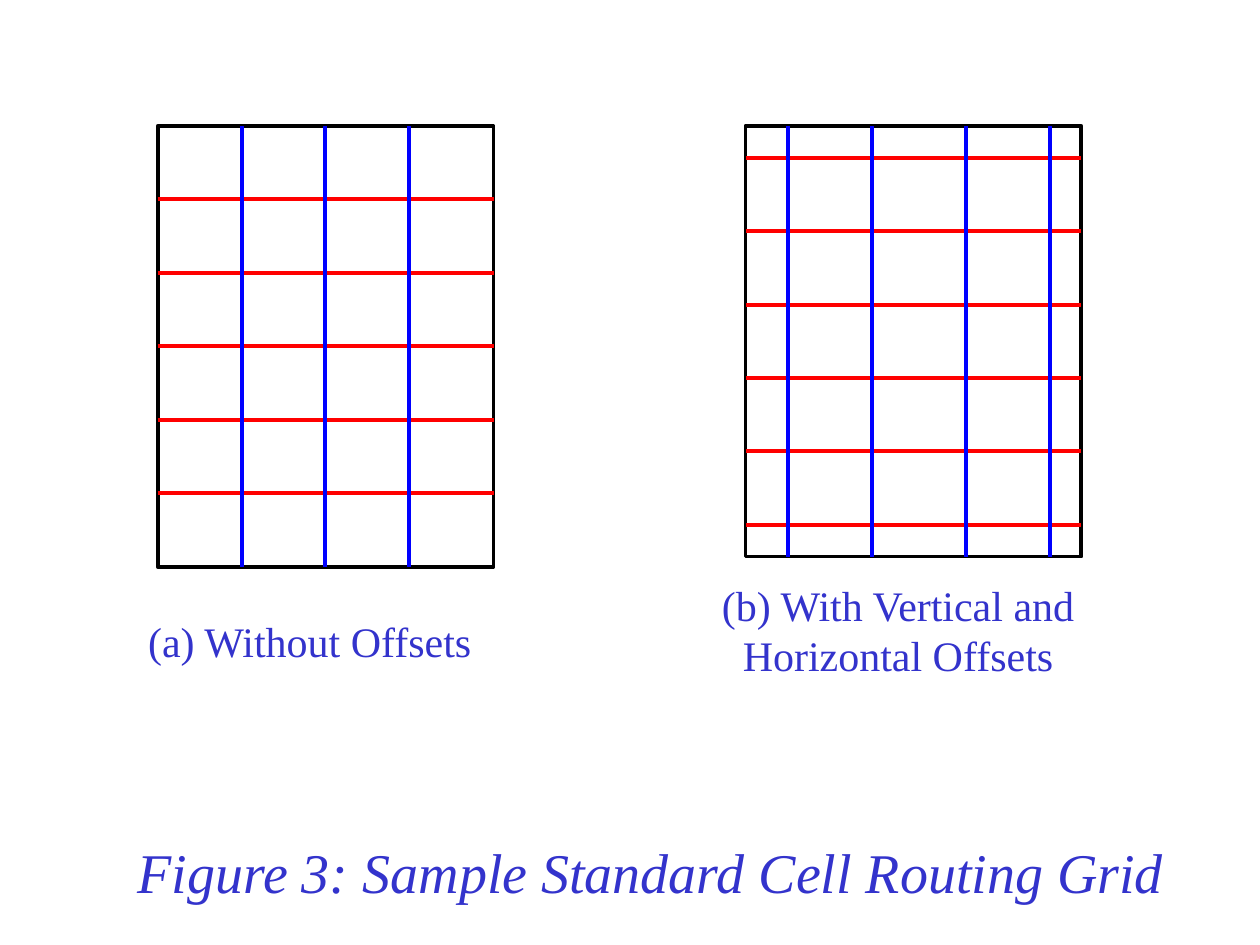
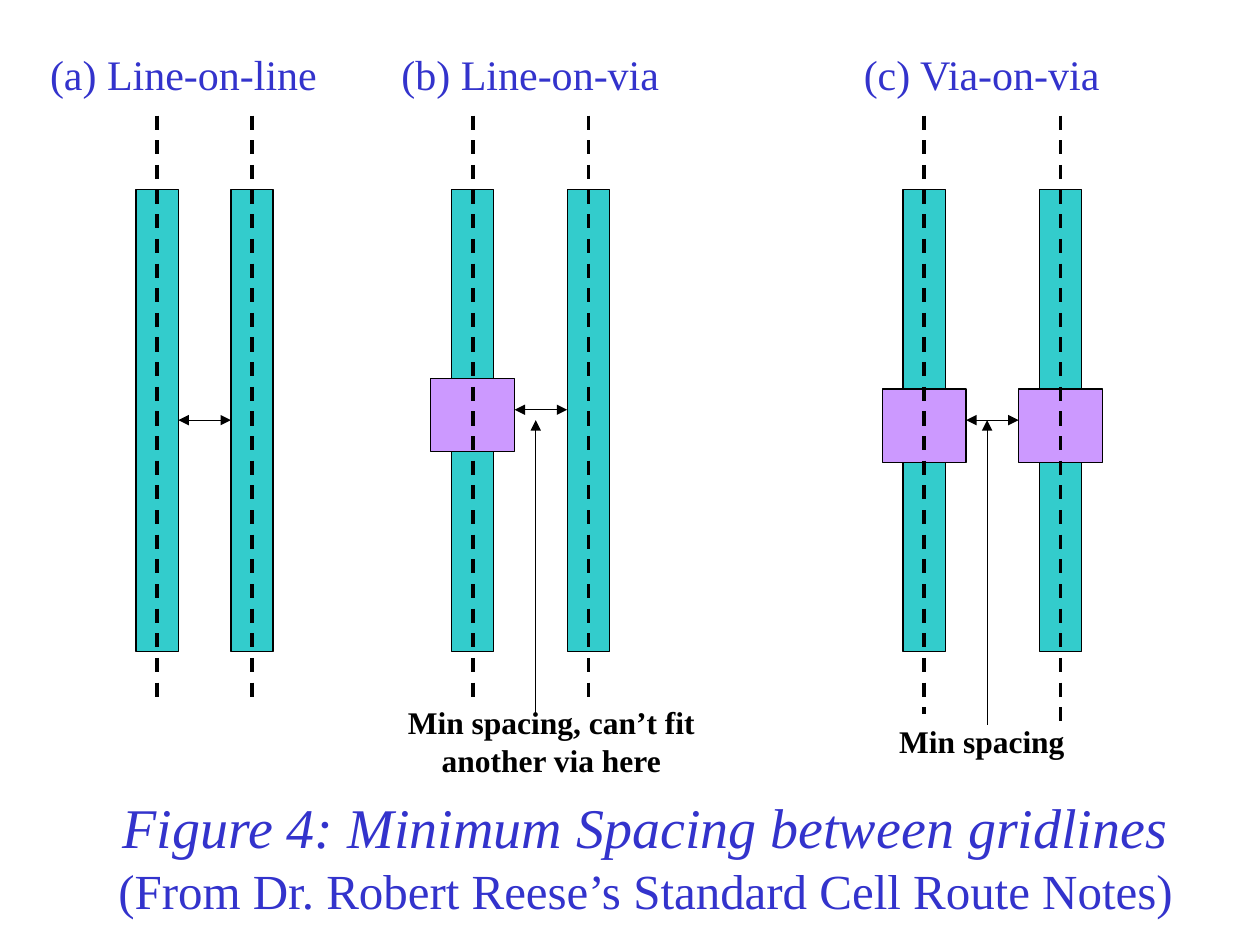
from lxml import etree
from pptx import Presentation
from pptx.dml.color import RGBColor
from pptx.enum import dml, shapes, text
from pptx.oxml import ns
from pptx.util import Cm, Pt

COLORS = {"title": "3333CC", "ink": "000000", "horizontal": "FF0000",
          "vertical": "0000FF", "metal": "33CCCC", "via": "CC99FF"}
FIGURE = {"size": Pt(32), "italic": True}
SOURCE = {"size": Pt(28), "italic": False}
CAPTION = {"size": Pt(24)}
NOTE = {"size": Pt(18), "bold": True}

PITCH_X, PITCH_Y = 1.69, 1.48
TRACK_WIDTH, TRACK_TOP, TRACK_HEIGHT = 0.85, 3.18, 9.31
VIA_WIDTH, VIA_HEIGHT, VIA_RISE = 1.69, 1.48, 0.63
TITLE_WIDTH, TITLE_HEIGHT = 6.56, 1.69
NOTE_WIDTH, NOTE_HEIGHT, NOTE_TOP = 7.41, 1.07, 13.76
POINTER_X, POINTER_TIP = 3.39, 7.83


def rgb(name):
    return RGBColor.from_string(COLORS[name])


def add_text(slide, box, lines, color="title"):
    """Centre (wording, format) lines in a left, top, width, height box."""
    frame = slide.shapes.add_textbox(*map(Cm, box)).text_frame
    frame.word_wrap = True
    frame.vertical_anchor = text.MSO_ANCHOR.MIDDLE
    for index, (wording, style) in enumerate(lines):
        paragraph = frame.add_paragraph() if index else frame.paragraphs[0]
        paragraph.alignment = text.PP_ALIGN.CENTER
        run = paragraph.add_run()
        run.text = wording
        run.font.name = "Times New Roman"
        run.font.color.rgb = rgb(color)
        for key, value in style.items():
            setattr(run.font, key, value)


def add_rect(slide, box, fill=None, weight=0.75):
    rect = slide.shapes.add_shape(shapes.MSO_SHAPE.RECTANGLE, *map(Cm, box))
    rect.shadow.inherit = False
    if fill:
        rect.fill.solid()
        rect.fill.fore_color.rgb = rgb(fill)
    else:
        rect.fill.background()
    rect.line.color.rgb = rgb("ink")
    rect.line.width = Pt(weight)


def add_line(slide, start, end, color="ink", weight=0.75, dashed=False, arrows=()):
    """Draw a line; arrows names its headEnd and tailEnd, in that order."""
    line = slide.shapes.add_connector(
        shapes.MSO_CONNECTOR.STRAIGHT, *map(Cm, (*start, *end)))
    line.line.color.rgb = rgb(color)
    line.line.width = Pt(weight)
    if dashed:
        line.line.dash_style = dml.MSO_LINE.DASH
    for arrow in arrows:
        etree.SubElement(line.line._get_or_add_ln(), ns.qn(f"a:{arrow}"), type="triangle")
    etree.SubElement(line._element.spPr, ns.qn("a:effectLst"))


def routing_grid(slide, box, rows, columns):
    """Draw a cell outline with gridlines at offsets from its top left."""
    left, top, width, height = box
    add_rect(slide, box, weight=2.25)
    for row in rows:
        add_line(slide, (left, top + row), (left + width, top + row), "horizontal", 2.25)
    for column in columns:
        add_line(slide, (left + column, top), (left + column, top + height), "vertical", 2.25)


def spacing_panel(slide, left, top, title, tracks, gap_y, vias=(), note=None,
                  note_shift=0, pointer_start=NOTE_TOP):
    """Draw two tracks, given as (centre, gridline end), and the gap between."""
    for centre, _ in tracks:
        add_rect(slide, (left + centre - TRACK_WIDTH / 2, top + TRACK_TOP,
                         TRACK_WIDTH, TRACK_HEIGHT), "metal")
    half_widths = [TRACK_WIDTH / 2] * 2
    for index in vias:
        half_widths[index] = VIA_WIDTH / 2
        add_rect(slide, (left + tracks[index][0] - VIA_WIDTH / 2,
                         top + gap_y - VIA_RISE, VIA_WIDTH, VIA_HEIGHT), "via")
    add_line(slide, (left + tracks[0][0] + half_widths[0], top + gap_y),
             (left + tracks[1][0] - half_widths[1], top + gap_y),
             arrows=("headEnd", "tailEnd"))
    for centre, end in tracks:
        add_line(slide, (left + centre, top + TITLE_HEIGHT), (left + centre, top + end),
                 weight=2, dashed=True)
    add_text(slide, (left, top, TITLE_WIDTH, TITLE_HEIGHT), [(title, CAPTION)])
    if note:
        add_text(slide, (left + note_shift, top + NOTE_TOP, NOTE_WIDTH, NOTE_HEIGHT),
                 [(note, NOTE)], "ink")
        add_line(slide, (left + POINTER_X, top + pointer_start),
                 (left + POINTER_X, top + POINTER_TIP), arrows=("tailEnd",))


def routing_grid_slide(slide):
    add_text(slide, (2.33, 16.72, 21.59, 1.69),
             [("Figure 3: Sample Standard Cell Routing Grid", FIGURE)])
    routing_grid(slide, (3.18, 2.54, 6.77, 8.89),
                 rows=[PITCH_Y * n for n in range(1, 6)],
                 columns=[PITCH_X * n for n in range(1, 4)])
    routing_grid(slide, (15.03, 2.54, 6.77, 8.68),
                 rows=[0.64 + PITCH_Y * n for n in range(6)],
                 columns=[start + PITCH_X * n for start in (0.85, 4.45) for n in range(2)])
    add_text(slide, (1.48, 12.07, 9.53, 1.69), [("(a) Without Offsets", CAPTION)])
    add_text(slide, (13.34, 11.85, 9.53, 1.69),
             [("(b) With Vertical and Horizontal Offsets", CAPTION)])


def spacing_slide(slide):
    top = 0.64
    spacing_panel(slide, 0.42, top, "(a) Line-on-line",
                  tracks=[(2.75, 13.55), (4.66, 13.55)], gap_y=7.83)
    spacing_panel(slide, 7.41, top, "(b) Line-on-via",
                  tracks=[(2.12, 13.55), (4.45, 13.55)], gap_y=7.62, vias=[0],
                  note="Min spacing, can’t fit another via here")
    spacing_panel(slide, 16.51, top, "(c) Via-on-via",
                  tracks=[(2.12, 13.76), (4.87, 13.97)], gap_y=7.83, vias=[0, 1],
                  note="Min spacing", note_shift=-0.42, pointer_start=13.97)
    add_text(slide, (1.48, 16.09, 23.07, 2.33),
             [("Figure 4: Minimum Spacing between gridlines", FIGURE),
              ("(From Dr. Robert Reese’s Standard Cell Route Notes)", SOURCE)])


def main():
    deck = Presentation()
    deck.slide_width, deck.slide_height = Cm(25.4), Cm(19.05)
    for build in (routing_grid_slide, spacing_slide):
        build(deck.slides.add_slide(deck.slide_layouts[6]))
    deck.save("out.pptx")


if __name__ == "__main__":
    main()
